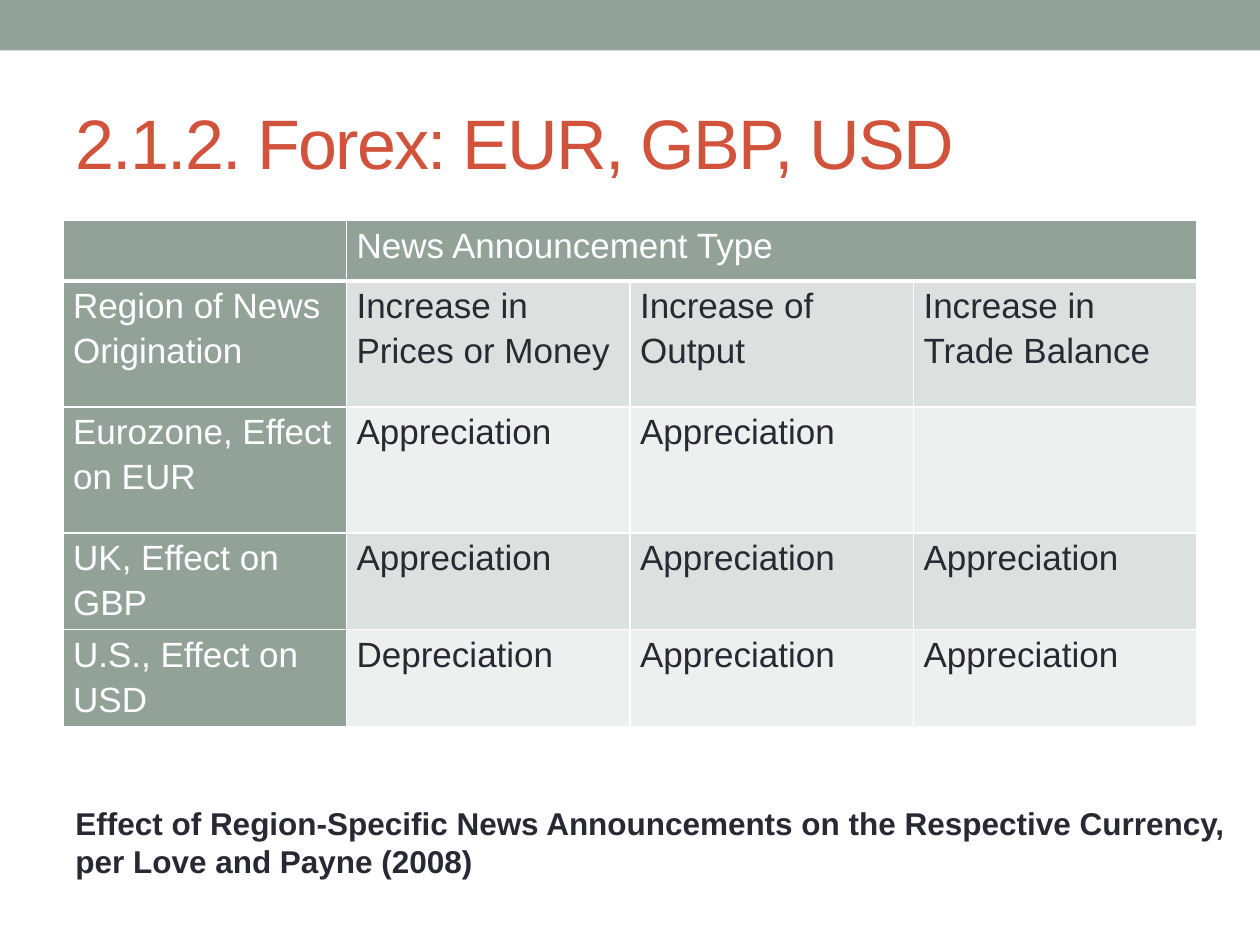
from dataclasses import dataclass

from lxml import etree
from pptx import Presentation
from pptx.dml.color import RGBColor
from pptx.enum.shapes import MSO_SHAPE
from pptx.enum.text import MSO_ANCHOR
from pptx.oxml.ns import qn
from pptx.util import Emu, Pt

RECT = MSO_SHAPE.RECTANGLE
TOP, MIDDLE = MSO_ANCHOR.TOP, MSO_ANCHOR.MIDDLE
EMU_PER_PX = 9144  # 100 px to the inch


@dataclass(frozen=True)
class Theme:
    font: str = "Arial"
    sage: str = "93A299"
    accent: str = "D2533C"
    ink: str = "292934"
    white: str = "FFFFFF"
    bands: tuple[str, str] = ("DCE0DE", "EEF0EF")
    title_size: int = 40
    table_size: int = 20
    caption_size: int = 18


@dataclass(frozen=True)
class TextBox:
    x: int
    y: int
    w: int
    h: int
    lines: tuple[str, ...]
    size: int
    color: str
    bold: bool = False
    anchor: MSO_ANCHOR = TOP
    tracking: int = 0  # hundredths of a point


T = Theme()

TITLE = TextBox(50, 58, 900, 108, ("2.1.2. Forex: EUR, GBP, USD",),
                T.title_size, T.accent, anchor=MIDDLE, tracking=-100)
CAPTION = TextBox(
    50, 633, 949, 101,
    ("Effect of Region-Specific News Announcements on the Respective Currency,",
     "per Love and Payne (2008)"),
    T.caption_size, T.ink, bold=True)

ROW_HEIGHTS = (48, 100, 100, 76, 76)
COL_WIDTH = 225
ROWS = (
    ("", "News Announcement Type", "", ""),
    ("Region of News Origination", "Increase in Prices or Money",
     "Increase of Output", "Increase in Trade Balance"),
    ("Eurozone, Effect on EUR", "Appreciation", "Appreciation", ""),
    ("UK, Effect on GBP", "Appreciation", "Appreciation", "Appreciation"),
    ("U.S., Effect on USD", "Depreciation", "Appreciation", "Appreciation"),
)


def px(n: int) -> Emu:
    return Emu(n * EMU_PER_PX)


def rgb(color: str) -> RGBColor:
    return RGBColor.from_string(color)


def style_run(r, size: int, color: str, bold: bool = False) -> None:
    r.font.name = T.font
    r.font.size = Pt(size)
    r.font.bold = bold
    r.font.color.rgb = rgb(color)


def add_text(s, box: TextBox) -> None:
    tf = s.shapes.add_textbox(px(box.x), px(box.y), px(box.w), px(box.h)).text_frame
    tf.word_wrap = True
    tf.vertical_anchor = box.anchor
    tf.text = "\n".join(box.lines)
    for p in tf.paragraphs:
        for r in p.runs:
            style_run(r, box.size, box.color, box.bold)
            if box.tracking:
                r.font._element.set("spc", str(box.tracking))


def set_borders(cell, bottom: int) -> None:
    """White lines on all sides; they must precede the cell fill."""
    tc_pr = cell._tc.get_or_add_tcPr()
    for side, width in (("L", 1), ("R", 1), ("T", 1), ("B", bottom)):
        ln = etree.SubElement(tc_pr, qn(f"a:ln{side}"), w=str(Pt(width)))
        fill = etree.SubElement(ln, qn("a:solidFill"))
        etree.SubElement(fill, qn("a:srgbClr"), val=T.white)


def fill_cell(cell, text: str, row: int, col: int) -> None:
    heading = row == 0 or col == 0
    set_borders(cell, bottom=3 if row == 0 else 1)
    cell.fill.solid()
    cell.fill.fore_color.rgb = rgb(T.sage if heading else T.bands[(row - 1) % 2])
    if not text:
        return
    cell.margin_left = cell.margin_right = px(8)
    cell.margin_top = cell.margin_bottom = 0
    cell.text_frame.text = text
    p = cell.text_frame.paragraphs[0]
    p.line_spacing = 1.15
    if not heading:
        p.space_after = Pt(3)
    style_run(p.runs[0], T.table_size, T.white if heading else T.ink)


def add_effects_table(s) -> None:
    cols = len(ROWS[0])
    table = s.shapes.add_table(len(ROWS), cols, px(50), px(175),
                               px(cols * COL_WIDTH), px(sum(ROW_HEIGHTS))).table
    table.first_col = True
    for column in table.columns:
        column.width = px(COL_WIDTH)
    for i, (height, texts) in enumerate(zip(ROW_HEIGHTS, ROWS)):
        table.rows[i].height = px(height)
        for j, text in enumerate(texts):
            fill_cell(table.cell(i, j), text, i, j)
    table.cell(0, 1).merge(table.cell(0, cols - 1))


def main() -> None:
    prs = Presentation()
    prs.slide_width, prs.slide_height = px(1000), px(750)
    s = prs.slides.add_slide(prs.slide_layouts[6])

    # Top band
    sp = s.shapes.add_shape(RECT, 0, 0, px(1000), px(40))
    sp.shadow.inherit = False
    sp.fill.solid()
    sp.fill.fore_color.rgb = rgb(T.sage)
    sp.line.fill.background()

    # Title, table and caption
    add_text(s, TITLE)
    add_effects_table(s)
    add_text(s, CAPTION)

    prs.save("out.pptx")


if __name__ == "__main__":
    main()
